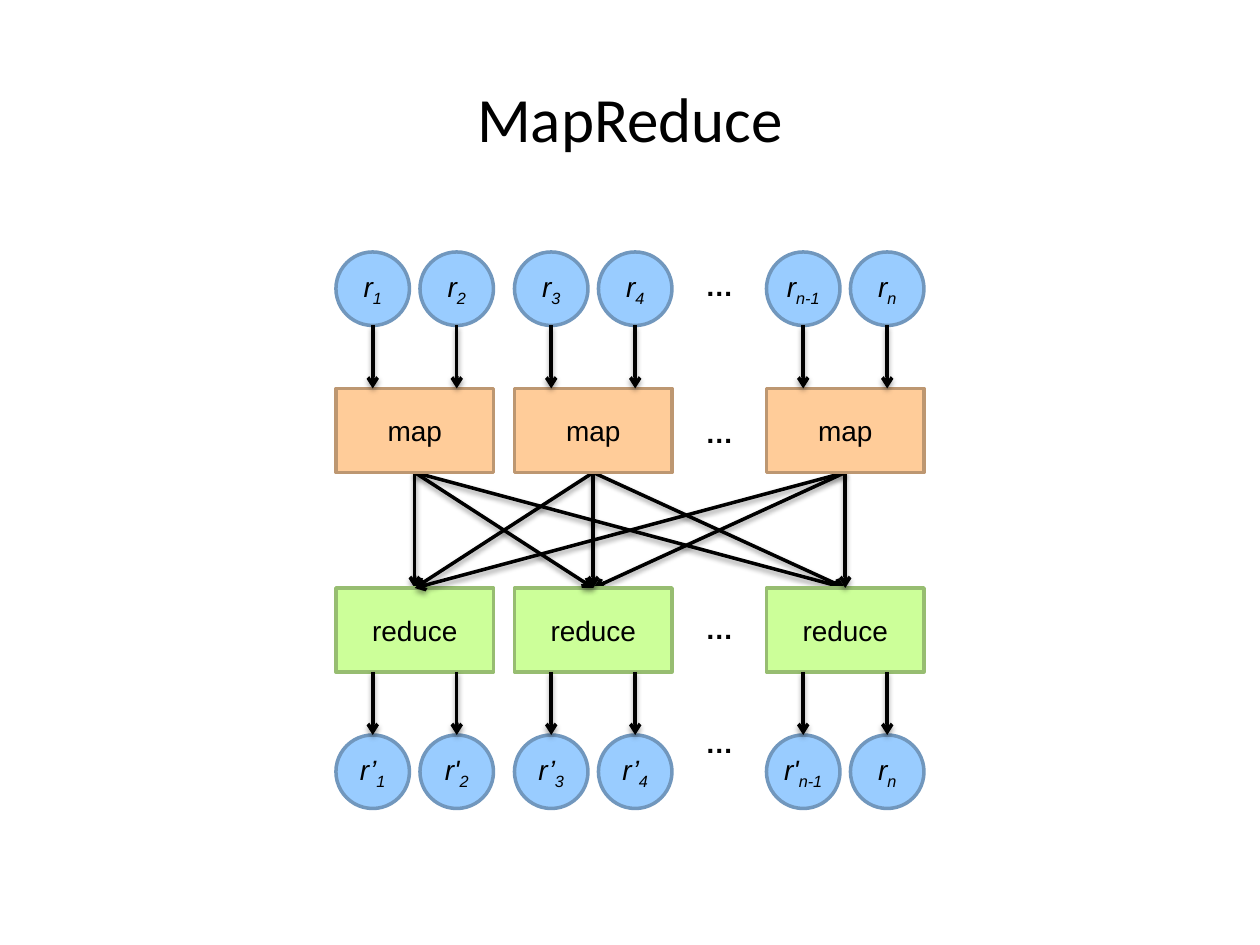
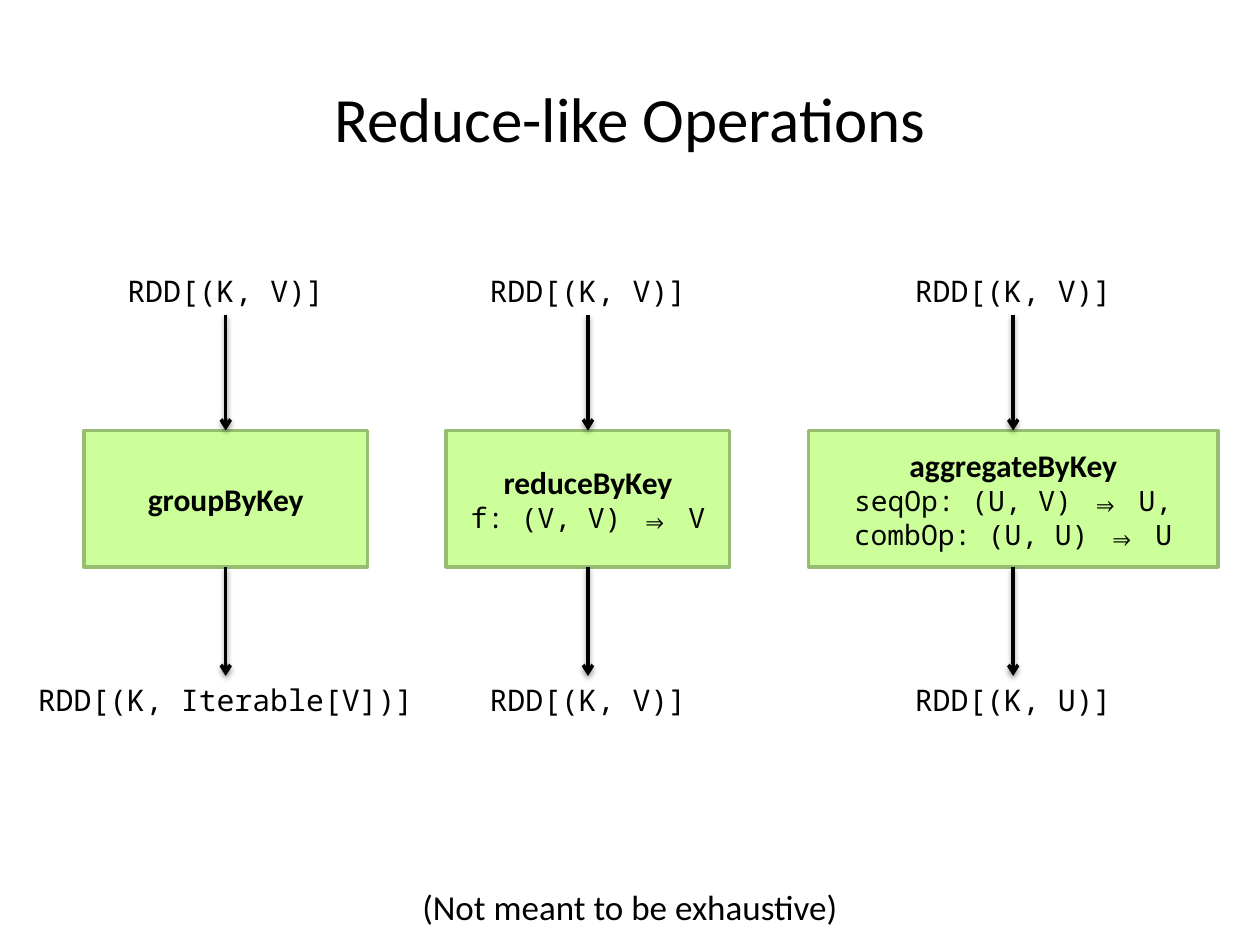
import lxml.etree
import pptx
import pptx.dml.color
import pptx.enum.shapes
import pptx.enum.text
import pptx.oxml
import pptx.util

PX = 9525
INK = {"black": "000000", "blue": "99CCFF", "navy": "7197BD", "peach": "FFCC99",
       "brown": "BD9771", "lime": "CCFF99", "moss": "97BD71"}
BLUE, PEACH, LIME = ("blue", "navy"), ("peach", "brown"), ("lime", "moss")
SANS, HEAD, MONO = "Arial", "Calibri", "Noto Sans Mono"
RECT = pptx.enum.shapes.MSO_SHAPE.RECTANGLE
OVAL = pptx.enum.shapes.MSO_SHAPE.OVAL
MID = pptx.enum.text.PP_ALIGN.CENTER
SPACE = "http://schemas.openxmlformats.org/drawingml/2006/main"
HEADXML = f'<a:tailEnd xmlns:a="{SPACE}" type="arrow"/>'
SHADE = (f'<a:effectLst xmlns:a="{SPACE}"><a:outerShdw blurRad="39370" dist="20320" '
         'dir="5400000" rotWithShape="0"><a:srgbClr val="000000"><a:alpha val="38000"/>'
         '</a:srgbClr></a:outerShdw></a:effectLst>')


def put(shapes, kind, spot, text, size, font, tone=None):
    area = [n * PX for n in spot]
    if kind is None:
        item = shapes.add_textbox(*area)
        item.text_frame.auto_size = pptx.enum.text.MSO_AUTO_SIZE.SHAPE_TO_FIT_TEXT
    else:
        item = shapes.add_shape(kind, *area)
        item.shadow.inherit = False
        item.fill.solid()
        item.fill.fore_color.rgb = pptx.dml.color.RGBColor.from_string(INK[tone[0]])
        item.line.color.rgb = pptx.dml.color.RGBColor.from_string(INK[tone[1]])
        item.line.width = pptx.util.Pt(2)
        item.text_frame.vertical_anchor = pptx.enum.text.MSO_ANCHOR.MIDDLE
    frame = item.text_frame
    frame.word_wrap = True
    frame.text = text
    for para in frame.paragraphs:
        para.alignment = MID
        for run in para.runs:
            run.font.size = pptx.util.Pt(size)
            run.font.name = font
            run.font.color.rgb = pptx.dml.color.RGBColor.from_string(INK["black"])
    return frame


def link(shapes, x1, y1, x2, y2):
    ends = [n * PX for n in (x1, y1, x2, y2)]
    line = shapes.add_connector(pptx.enum.shapes.MSO_CONNECTOR.STRAIGHT, *ends)
    line.line.color.rgb = pptx.dml.color.RGBColor.from_string(INK["black"])
    line.line.width = pptx.util.Pt(2)
    props = line.element.spPr
    props.find(f"{{{SPACE}}}ln").append(pptx.oxml.parse_xml(HEADXML))
    props.append(pptx.oxml.parse_xml(SHADE))


deck = pptx.Presentation()
deck.slide_width, deck.slide_height = 960 * PX, 720 * PX
pages = []
for title in ("MapReduce", "Reduce-like Operations"):
    page = deck.slides.add_slide(deck.slide_layouts[6])
    put(page.shapes, None, (0, 56, 960, 72), title, 36, HEAD)
    pages.append(page.shapes)
flow, ops = pages

cols = (256, 392, 584)
wide, ball, step = 120, 56, 64
in_y, map_y, red_y, out_y = 192, 296, 448, 560
lefts = [x + shift for x in cols for shift in (0, step)]
subs = ("1", "2", "3", "4", "n-1", "n")
ins = ("r",) * 6
outs = ("r’", "r'", "r’", "r’", "r'", "r")
pairs = [(a, b) for a in cols for b in cols]
front = [(cols[0], cols[1]), (cols[1], cols[1]), (cols[2], cols[0]), (cols[2], cols[2])]
back = [pair for pair in pairs if pair not in front]

for fan, row, names, boxes in (
    (back, out_y, outs, (red_y, "reduce", LIME)),
    (front, in_y, ins, (map_y, "map", PEACH)),
):
    for a, b in fan:
        link(flow, a + wide // 2, map_y + step, b + wide // 2, red_y)
    y, word, tone = boxes
    for x in reversed(cols):
        put(flow, RECT, (x, y, wide, step), word, 16, SANS, tone)
    for x, name, sub in zip(lefts, names, subs):
        frame = put(flow, OVAL, (x, row, ball, ball), name, 16, SANS, BLUE)
        frame.margin_left = frame.margin_right = frame.margin_top = frame.margin_bottom = 0
        para = frame.paragraphs[0]
        low = para.add_run()
        low.text = sub
        low.font.size = pptx.util.Pt(16)
        low.font.name = SANS
        low.font.color.rgb = pptx.dml.color.RGBColor.from_string(INK["black"])
        low._r.get_or_add_rPr().set("baseline", "-25000")
        for run in para.runs:
            run.font.italic = True

for top, end in ((in_y + ball, map_y), (red_y + step, out_y)):
    group = flow.add_group_shape().shapes
    for x in lefts:
        link(group, x + ball // 2, top, x + ball // 2, end)

for y in (200, 312, 461, 548):
    frame = put(flow, None, (528, y, 41, 35), "…", 16, SANS)
    frame.word_wrap = False
    frame.paragraphs[0].alignment = pptx.enum.text.PP_ALIGN.LEFT
    frame.paragraphs[0].runs[0].font.bold = True

for mid, wide, name, code, span, last in (
    (172, 216, "groupByKey", "", 328, "RDD[(K, Iterable[V])]"),
    (448, 216, "reduceByKey", "f: (V, V) ⇒ V", 184, "RDD[(K, V)]"),
    (772, 312, "aggregateByKey", "seqOp: (U, V) ⇒ U, combOp: (U, U) ⇒ U", 184, "RDD[(K, U)]"),
):
    group = ops.add_group_shape().shapes
    put(group, None, (mid - 108, 203, 216, 37), "RDD[(K, V)]", 17, MONO)
    put(group, None, (mid - span // 2, 515, span, 37), last, 17, MONO)
    text = f"{name}\n{code}" if code else name
    frame = put(group, RECT, (mid - wide // 2, 328, wide, 104), text, 16, MONO, LIME)
    font = frame.paragraphs[0].runs[0].font
    font.name, font.size, font.bold = HEAD, pptx.util.Pt(18), True
    link(group, mid, 240, mid, 328)
    link(group, mid, 432, mid, 515)

put(ops, None, (0, 670, 960, 42), "(Not meant to be exhaustive)", 20, HEAD)

deck.save("out.pptx")
